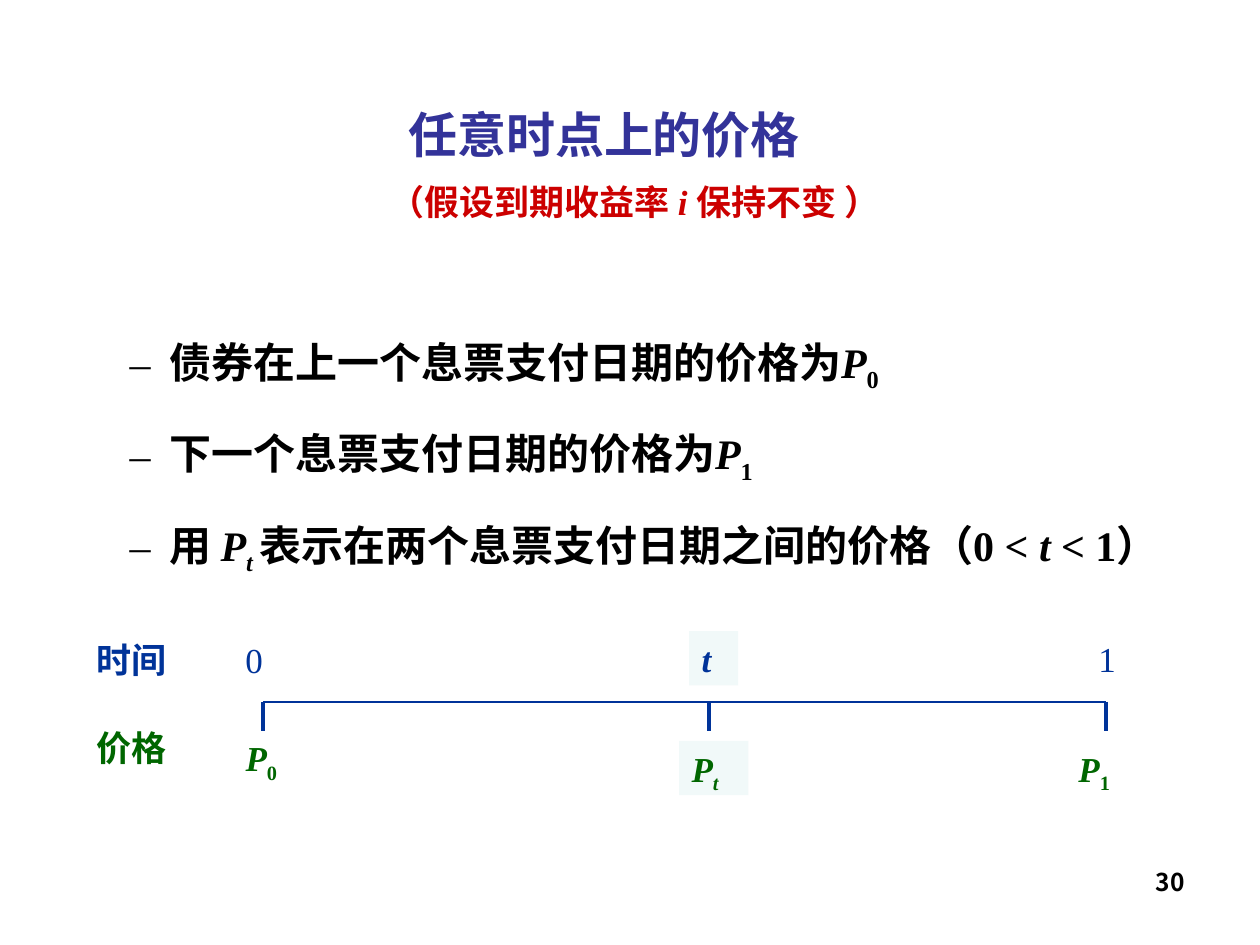
from lxml import etree
from pptx import Presentation
from pptx import util as u
from pptx.dml.color import RGBColor
from pptx.enum import shapes, text
from pptx.oxml import ns

COLORS = {"title": "333399", "note": "CC0000", "body": "000000",
          "time": "003399", "price": "006600", "highlight": "F1F9F9"}
SERIF, SANS, CJK = "Times New Roman", "Arial", "Noto Sans CJK SC"
AXIS_TOP, TICK_BOTTOM = 401, 417.6
TICKS = (150.5, 405.4, 632.2)


def rgb(name):
    """Return the named colour."""
    return RGBColor.from_string(COLORS[name])


def add_run(paragraph, content, size, color, style="b", font=SERIF):
    """Add one run; style letters are b bold, i italic, s subscript."""
    run = paragraph.add_run()
    run.text = content
    run.font.size = u.Pt(size)
    run.font.name = font
    run.font.color.rgb = rgb(color)
    run.font.bold = "b" in style
    run.font.italic = "i" in style
    properties = run.font._element
    if "s" in style:
        properties.set("baseline", "-25000")
    latin = properties.find(ns.qn("a:latin"))
    east_asian = etree.Element(ns.qn("a:ea"), typeface=CJK)
    latin.addnext(east_asian)


def add_text(slide, box, paragraphs, size, color, font=SERIF, align="LEFT",
             spacing=None, fill=None, middle=False):
    """Add a text box, or a filled rectangle, from lists of (text, style) runs."""
    place = [u.Pt(value) for value in box]
    if fill:
        shape = slide.shapes.add_shape(shapes.MSO_SHAPE.RECTANGLE, *place)
        shape.shadow.inherit = False
        shape.fill.solid()
        shape.fill.fore_color.rgb = rgb(fill)
        shape.line.fill.background()
    else:
        shape = slide.shapes.add_textbox(*place)
    frame = shape.text_frame
    frame.word_wrap = True
    frame.vertical_anchor = text.MSO_ANCHOR.MIDDLE if middle else text.MSO_ANCHOR.TOP
    for index, runs in enumerate(paragraphs):
        paragraph = frame.add_paragraph() if index else frame.paragraphs[0]
        paragraph.alignment = getattr(text.PP_ALIGN, align)
        if spacing:
            paragraph.line_spacing = spacing
        for content, style in runs:
            add_run(paragraph, content, size, color, style, font)
    return shape


def add_dashes(shape):
    """Give every paragraph a hanging dash bullet."""
    for paragraph in shape.text_frame.paragraphs:
        properties = paragraph._p.get_or_add_pPr()
        properties.set("marL", str(u.Pt(58.5)))
        properties.set("indent", str(-u.Pt(22.5)))
        etree.SubElement(properties, ns.qn("a:buFont"), typeface=SERIF)
        etree.SubElement(properties, ns.qn("a:buChar"), char="–")


def add_line(slide, start, end, width):
    """Add a straight line of the timeline."""
    line = slide.shapes.add_connector(
        shapes.MSO_CONNECTOR.STRAIGHT, *(u.Pt(value) for value in (*start, *end)))
    line.line.color.rgb = rgb("time")
    line.line.width = u.Pt(width)
    etree.SubElement(line._element.spPr, ns.qn("a:effectLst"))


def add_timeline(slide):
    """Draw the axis, its ticks and the time and price labels."""
    add_line(slide, (TICKS[0], AXIS_TOP), (TICKS[-1], AXIS_TOP), 1)
    for x in TICKS:
        add_line(slide, (x, AXIS_TOP), (x, TICK_BOTTOM), 2.25)
    labels = [
        ((133.2, 361.4, 33.8), [("0", "")], "time", None),
        ((393.8, 360.7, 28.1), [("t", "bi")], "time", "highlight"),
        ((620.6, 360.7, 33.8), [("1", "")], "time", None),
        ((133.2, 417.6, 39.6), [("P", "bi"), ("0", "bs")], "price", None),
        ((388.1, 423.4, 39.6), [("P", "bi"), ("t", "bis")], "price", "highlight"),
        ((609.1, 423.4, 39.6), [("P", "bi"), ("1", "bs")], "price", None),
    ]
    for place, runs, color, fill in labels:
        add_text(slide, (*place, 31), [runs], 20, color, fill=fill)
    for top, caption, color in ((361.4, "时间", "time"), (411.8, "价格", "price")):
        add_text(slide, (48.2, top, 73.4, 31), [[(caption, "b")]], 20, color, SANS)


def main():
    """Build and save the slide."""
    presentation = Presentation()
    presentation.slide_width, presentation.slide_height = u.Pt(720), u.Pt(540)
    slide = presentation.slides.add_slide(presentation.slide_layouts[6])
    add_text(slide, (516.2, 491.8, 167.8, 37.4), [[("30", "b")]], 14, "body",
             CJK, "RIGHT")
    add_text(slide, (48.2, 49, 594, 48.2), [[("任意时点上的价格", "b")]], 28,
             "title", align="CENTER", spacing=1.2, middle=True)
    note = [("（假设到期收益率 ", "b"), ("i ", "bi"), ("保持不变 ）", "b")]
    add_text(slide, (31, 93.6, 663.1, 40), [note], 20, "note",
             align="CENTER", spacing=u.Pt(30))
    points = [
        [("债券在上一个息票支付日期的价格为", "b"), ("P", "bi"), ("0", "bs")],
        [("下一个息票支付日期的价格为", "b"), ("P", "bi"), ("1", "bs")],
        [("用 ", "b"), ("P", "bi"), ("t ", "bis"),
         ("表示在两个息票支付日期之间的价格（0 < ", "b"), ("t", "bi"), (" < 1）", "b")],
    ]
    add_dashes(add_text(slide, (31, 169, 663.1, 165), points, 24, "body",
                        spacing=u.Pt(52.3)))
    add_timeline(slide)
    presentation.save("out.pptx")


if __name__ == "__main__":
    main()
